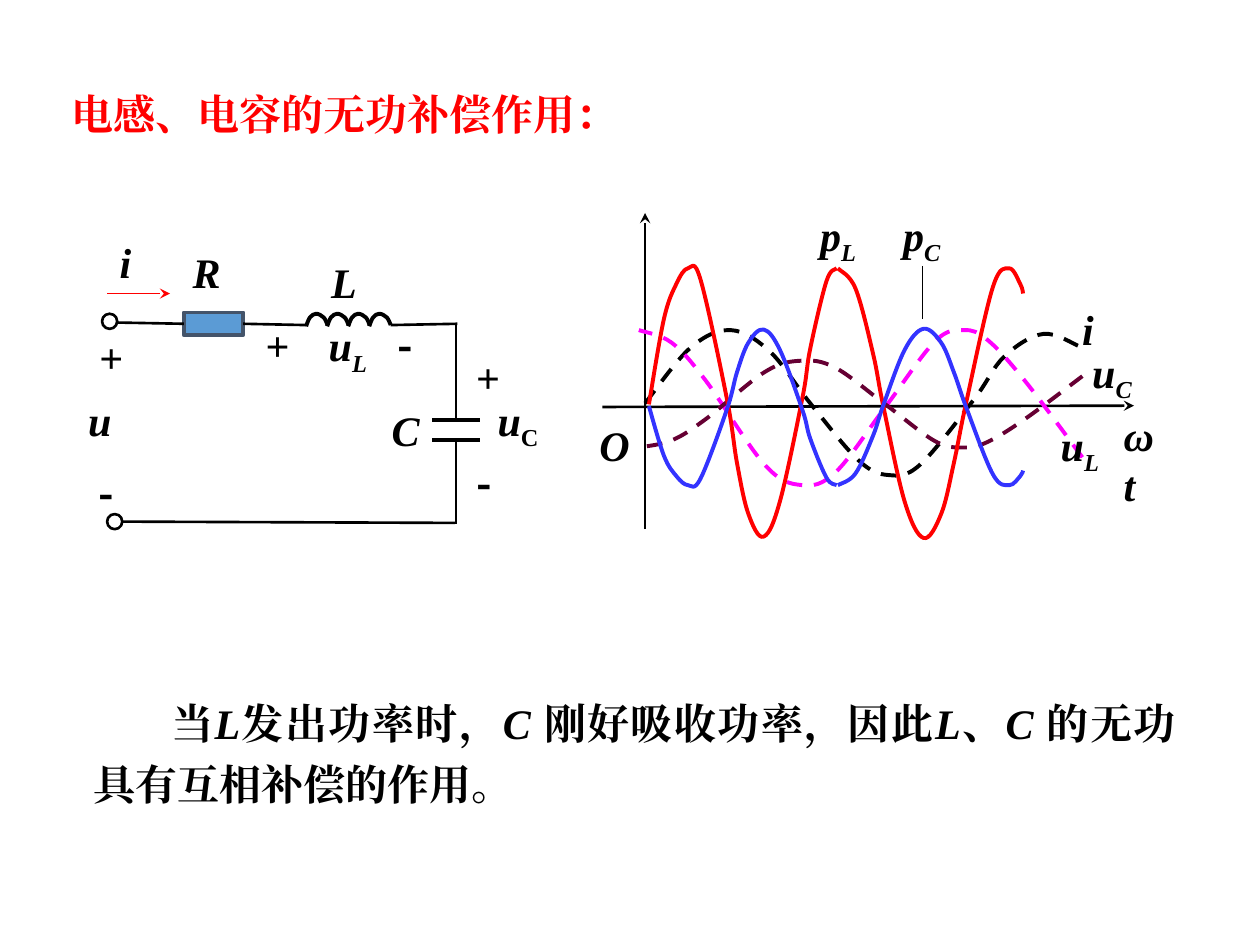
from lxml.etree import SubElement
from pptx import Presentation
from pptx.dml.color import RGBColor
from pptx.enum.dml import MSO_LINE
from pptx.enum.shapes import MSO_CONNECTOR, MSO_SHAPE
from pptx.enum.text import MSO_ANCHOR, PP_ALIGN
from pptx.oxml.ns import qn
from pptx.util import Inches, Pt

BLACK = RGBColor(0, 0, 0)
WHITE = RGBColor(255, 255, 255)
RED = RGBColor(255, 0, 0)
BLUE = RGBColor(0x33, 0x33, 0xFF)
MAGENTA = RGBColor(255, 0, 255)
MAROON = RGBColor(0x66, 0, 0x33)
RESISTOR_FILL = RGBColor(0x5B, 0x9B, 0xD5)
RESISTOR_EDGE = RGBColor(0x44, 0x54, 0x6A)
SERIF = "Times New Roman"
SANS = "Noto Sans CJK SC"

CURRENT = [
    (5.12, 3.2), (5.48, 2.76), (5.8, 2.62), (6.11, 2.79), (6.43, 3.2), (6.81, 3.65),
    (7.05, 3.77), (7.3, 3.69), (7.73, 3.17), (7.97, 2.83), (8.28, 2.65), (8.57, 2.75),
]
INDUCTOR_VOLTAGE = [
    (8.59, 3.63), (8.14, 3.03), (7.84, 2.7), (7.65, 2.62), (7.42, 2.71), (7.02, 3.24),
    (6.63, 3.75), (6.36, 3.85), (6.07, 3.69), (5.6, 3.02), (5.33, 2.72), (5.07, 2.62),
]
INDUCTOR_POWER_HALVES = [
    [(5.15, 3.21), (5.27, 2.53), (5.37, 2.25), (5.46, 2.13), (5.56, 2.22), (5.77, 3.17),
     (5.85, 3.68), (5.94, 4.08), (6.06, 4.26), (6.19, 3.98), (6.37, 3.15), (6.43, 2.77),
     (6.56, 2.23), (6.64, 2.13)],
    [(8.12, 2.33), (8.1, 2.26), (8.01, 2.13), (7.88, 2.28), (7.67, 3.19), (7.57, 3.68),
     (7.47, 4.08), (7.33, 4.27), (7.18, 3.98), (7.01, 3.22), (6.93, 2.81), (6.79, 2.29),
     (6.65, 2.13)],
]
COIL_LOOP = [(0, 0.1), (0.03, 0.03), (0.08, 0), (0.14, 0.03), (0.17, 0.09)]
STATEMENT = [
    ("当", False), ("L", True), ("发出功率时，", False), ("C ", True),
    ("刚好吸收功率，因此", False), ("L", True), ("、", False), ("C ", True),
    ("的无功具有互相补偿的作用。", False),
]


def write(paragraph, text, font=SERIF, color=BLACK, italic=False, subscript=False):
    run = paragraph.add_run()
    run.text = text
    run.font.name = font
    run.font.size = Pt(24)
    run.font.bold = True
    run.font.italic = italic
    run.font.color.rgb = color
    properties = run.font._element
    SubElement(properties, qn("a:ea")).set("typeface", font)
    if subscript:
        properties.set("baseline", "-25000")


def add_text_area(slide, left, top, width, height=0.5):
    area = slide.shapes.add_textbox(Inches(left), Inches(top), Inches(width), Inches(height))
    area.text_frame.word_wrap = True
    return area.text_frame.paragraphs[0]


def add_label(slide, symbol, left, top, width, index="", index_italic=True):
    paragraph = add_text_area(slide, left, top, width)
    write(paragraph, symbol, italic=True)
    if index:
        write(paragraph, index, italic=index_italic, subscript=True)


def add_sign(slide, sign, left, top):
    font = SANS if sign == "-" else SERIF
    write(add_text_area(slide, left, top, 0.39), sign, font=font)


def add_line(slide, start, end, weight=1.5, color=BLACK, arrow=False):
    line = slide.shapes.add_connector(
        MSO_CONNECTOR.STRAIGHT, *(Inches(value) for value in (*start, *end)))
    line.line.color.rgb = color
    line.line.width = Pt(weight)
    if arrow:
        SubElement(line.line._get_or_add_ln(), qn("a:tailEnd")).set("type", "stealth")
    SubElement(line._element.spPr, qn("a:effectLst"))
    return line


def add_part(slide, preset, left, top, width, height, fill, edge, weight):
    part = slide.shapes.add_shape(
        preset, Inches(left), Inches(top), Inches(width), Inches(height))
    part.shadow.inherit = False
    part.fill.solid()
    part.fill.fore_color.rgb = fill
    part.line.color.rgb = edge
    part.line.width = Pt(weight)
    return part


def round_segments(curve):
    knots = [(int(point.get("x")), int(point.get("y")))
             for point in curve._element.iter(qn("a:pt"))]
    padded = [knots[0], *knots, knots[-1]]
    segments = list(curve._element.iter(qn("a:lnTo")))
    for segment, a, b, c, d in zip(segments, padded, padded[1:], padded[2:], padded[3:]):
        leaving = [q + (r - p) / 6 for p, q, r in zip(a, b, c)]
        arriving = [r - (s - q) / 6 for q, r, s in zip(b, c, d)]
        segment.tag = qn("a:cubicBezTo")
        segment.remove(segment[0])
        for x, y in (leaving, arriving, c):
            point = SubElement(segment, qn("a:pt"))
            point.set("x", str(round(x)))
            point.set("y", str(round(y)))


def add_curve(slide, knots, color=BLACK, dashed=False):
    points = [(Inches(x), Inches(y)) for x, y in knots]
    builder = slide.shapes.build_freeform(*points[0])
    builder.add_line_segments(points[1:], close=False)
    curve = builder.convert_to_shape()
    round_segments(curve)
    curve.shadow.inherit = False
    curve.fill.background()
    curve.line.color.rgb = color
    curve.line.width = Pt(2.25)
    if dashed:
        curve.line.dash_style = MSO_LINE.DASH


def mirror(knots, axis, center, ratio):
    return [(x, center - (y - axis) * ratio) for x, y in knots]


def add_title(slide):
    title = slide.shapes.title
    title.left, title.top = Inches(0.47), Inches(0.65)
    title.width, title.height = Inches(4.74), Inches(0.5)
    title.text_frame.word_wrap = True
    title.text_frame.vertical_anchor = MSO_ANCHOR.TOP
    heading = title.text_frame.paragraphs[0]
    heading.alignment = PP_ALIGN.LEFT
    write(heading, "电感、电容的无功补偿作用：", color=RED)


def add_circuit(slide):
    for plate_y in (3.33, 3.49):
        add_line(slide, (3.43, plate_y), (3.81, plate_y), weight=2.25)
    for start, end in [
        ((3.62, 2.57), (3.62, 3.33)), ((3.62, 3.49), (3.62, 4.16)),
        ((3.61, 4.15), (0.97, 4.14)), ((3.1, 2.58), (3.63, 2.57)),
    ]:
        add_line(slide, start, end)
    resistor = add_part(slide, MSO_SHAPE.RECTANGLE, 1.46, 2.48, 0.47, 0.18,
                        RESISTOR_FILL, RESISTOR_EDGE, 2.25)
    add_line(slide, (0.93, 2.56), (1.46, 2.57)).end_connect(resistor, 1)
    add_line(slide, (1.93, 2.57), (2.43, 2.58)).begin_connect(resistor, 3)
    for loop in range(4):
        add_curve(slide, [(2.43 + 0.167 * loop + x, 2.49 + y) for x, y in COIL_LOOP])
    for left, top in [(0.85, 4.08), (0.81, 2.49)]:
        add_part(slide, MSO_SHAPE.OVAL, left, top, 0.12, 0.12, WHITE, BLACK, 1.5)
    add_line(slide, (0.85, 2.33), (1.35, 2.33), weight=0.75, color=RED, arrow=True)
    for symbol, left, top, width in [
        ("L", 2.53, 1.99, 0.4), ("C", 3.01, 3.16, 0.42), ("R", 1.43, 1.91, 0.42),
        ("u", 0.6, 3.08, 0.59), ("i", 0.85, 1.83, 0.29),
    ]:
        add_label(slide, symbol, left, top, width)
    add_label(slide, "u", 2.51, 2.49, 0.58, index="L")
    add_label(slide, "u", 3.85, 3.08, 0.58, index="C", index_italic=False)
    for sign, left, top in [
        ("+", 0.69, 2.58), ("-", 0.68, 3.66), ("+", 3.68, 2.74),
        ("-", 3.68, 3.58), ("+", 2.01, 2.49), ("-", 3.06, 2.49),
    ]:
        add_sign(slide, sign, left, top)


def add_waveforms(slide):
    add_curve(slide, CURRENT, dashed=True)
    add_line(slide, (5.12, 4.2), (5.12, 1.69), arrow=True)
    add_line(slide, (4.78, 3.23), (9, 3.22), arrow=True)
    add_curve(slide, INDUCTOR_VOLTAGE, MAGENTA, dashed=True)
    add_curve(slide, mirror(INDUCTOR_VOLTAGE, 3.23, 3.21, 0.56), MAROON, dashed=True)
    for half in INDUCTOR_POWER_HALVES:
        add_curve(slide, half, RED)
        add_curve(slide, mirror(half, 3.2, 3.23, 0.58), BLUE)
    add_line(slide, (7.32, 2.11), (7.32, 2.53), weight=0.75)
    for symbol, index, left, top, width in [
        ("i", "", 8.49, 2.36, 0.44), ("ω t", "", 8.82, 3.2, 0.61), ("O", "", 4.66, 3.28, 0.44),
        ("u", "L", 8.32, 3.28, 0.52), ("u", "C", 8.57, 2.7, 0.75),
        ("p", "L", 6.41, 1.61, 0.61), ("p", "C", 7.07, 1.61, 0.61),
    ]:
        add_label(slide, symbol, left, top, width, index=index)


def add_statement(slide):
    paragraph = add_text_area(slide, 0.64, 5.41, 8.79, 1.07)
    paragraph.alignment = PP_ALIGN.JUSTIFY
    paragraph.line_spacing = 1.2
    paragraph.space_before = Pt(12)
    paragraph._p.get_or_add_pPr().set("indent", str(Inches(0.62)))
    for text, italic in STATEMENT:
        write(paragraph, text, italic=italic)


def main():
    presentation = Presentation()
    presentation.slide_width = Inches(10)
    presentation.slide_height = Inches(7.5)
    slide = presentation.slides.add_slide(presentation.slide_layouts[5])
    add_title(slide)
    add_circuit(slide)
    add_waveforms(slide)
    add_statement(slide)
    presentation.save("out.pptx")


if __name__ == "__main__":
    main()
